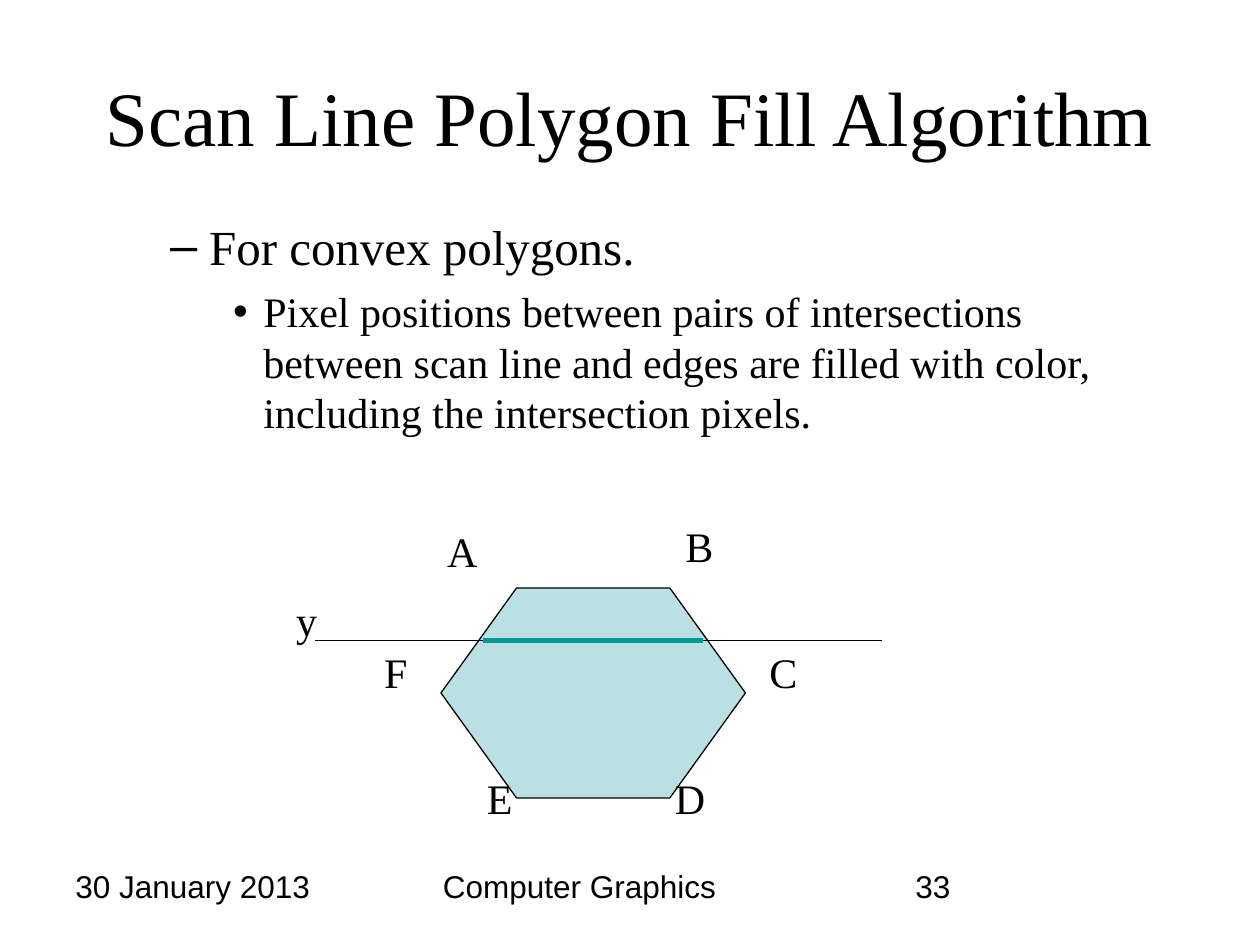
from lxml import etree
from pptx import Presentation
from pptx.dml.color import RGBColor
from pptx.enum.shapes import MSO_CONNECTOR, MSO_SHAPE
from pptx.enum.text import MSO_ANCHOR, MSO_AUTO_SIZE, PP_ALIGN
from pptx.oxml.ns import qn
from pptx.util import Inches, Pt

STRAIGHT, HEXAGON = MSO_CONNECTOR.STRAIGHT, MSO_SHAPE.HEXAGON
LEFT, CENTER, MIDDLE, TOP = PP_ALIGN.LEFT, PP_ALIGN.CENTER, MSO_ANCHOR.MIDDLE, MSO_ANCHOR.TOP
NO_FIT, GROW = MSO_AUTO_SIZE.NONE, MSO_AUTO_SIZE.SHAPE_TO_FIT_TEXT
COLORS = {"ink": "000000", "polygon": "BBE0E3", "filled": "009999"}
SERIF, SANS = "Times New Roman", "Arial"
COLUMNS, ROWS = 120, 90
VERTICES = {"A": (43.9, 49.5), "B": (66.6, 49), "C": (74.6, 61),
            "D": (65.6, 73), "E": (47.6, 73), "F": (37.7, 61)}
FOOTERS = [("30 January 2013", 6, 28), ("Computer Graphics", 41, 38), ("33", 86, 28)]
BULLETS = [("For convex polygons.", 1, "–", 28, 0.81, 0.31, 0),
           ("Pixel positions between pairs of intersections between scan line and edges "
            "are filled with color, including the intersection pixels.",
            2, "•", 24, 1.24, 0.24, 6)]


def grid(*cells):
    """Turn alternating column and row counts into lengths."""
    units = (Inches(10) / COLUMNS, Inches(7.5) / ROWS)
    return [round(count * units[index % 2]) for index, count in enumerate(cells)]


def color(name):
    """Look up a named colour."""
    return RGBColor.from_string(COLORS[name])


def style(para, size, face, align=LEFT):
    """Set the font and alignment of a paragraph."""
    para.alignment = align
    para.font.size, para.font.name = Pt(size), face
    para.font.color.rgb = color("ink")


def place(shape, *cells):
    """Move a shape to its grid cells."""
    shape.left, shape.top, shape.width, shape.height = grid(*cells)


def add_title(page, text):
    """Fill the title placeholder."""
    title = page.shapes.title
    place(title, 6, 4, 108, 14)
    frame = title.text_frame
    frame.text, frame.vertical_anchor, frame.auto_size = text, MIDDLE, NO_FIT
    style(frame.paragraphs[0], 44, SERIF, CENTER)


def add_bullets(page):
    """Fill the body placeholder with the bulleted list."""
    body = page.placeholders[1]
    place(body, 9, 20, 102, 58)
    frame = body.text_frame
    frame.vertical_anchor, frame.auto_size = TOP, NO_FIT
    frame.text = "\n".join(bullet[0] for bullet in BULLETS)
    for para, (_, level, mark, size, margin, hang, before) in zip(frame.paragraphs, BULLETS):
        para.level = level
        props = para._p.get_or_add_pPr()
        props.set("marL", str(Inches(margin)))
        props.set("indent", str(-Inches(hang)))
        etree.SubElement(props, qn("a:buChar")).set("char", mark)
        para.space_before = Pt(before)
        style(para, size, SERIF)


def add_text(page, text, left, top, width, height, size, face):
    """Add a wrapping text box."""
    box = page.shapes.add_textbox(*grid(left, top, width, height))
    box.text_frame.word_wrap = True
    box.text_frame.text = text
    style(box.text_frame.paragraphs[0], size, face)


def add_label(page, text, middle, top):
    """Add a one-letter label centred on a column."""
    box = page.shapes.add_textbox(*grid(middle - 2.5, top, 5, 6))
    frame = box.text_frame
    frame.text, frame.word_wrap, frame.auto_size = text, False, GROW
    style(frame.paragraphs[0], 24, SERIF, CENTER)


def add_line(page, start, end, row, name, weight):
    """Add a horizontal line without shadow."""
    line = page.shapes.add_connector(STRAIGHT, *grid(start, row, end, row))
    line.line.color.rgb, line.line.width = color(name), Pt(weight)
    etree.SubElement(line._element.spPr, qn("a:effectLst"))


def add_polygon(page):
    """Add the convex polygon."""
    polygon = page.shapes.add_shape(HEXAGON, *grid(42, 56, 29, 20))
    polygon.adjustments[0] = 0.36
    polygon.shadow.inherit = False
    polygon.fill.solid()
    polygon.fill.fore_color.rgb = color("polygon")
    polygon.line.color.rgb, polygon.line.width = color("ink"), Pt(0.75)


def main():
    """Build and save the slide."""
    deck = Presentation()
    deck.slide_width, deck.slide_height = Inches(10), Inches(7.5)
    page = deck.slides.add_slide(deck.slide_layouts[1])
    for text, left, width in FOOTERS:
        add_text(page, text, left, 82, width, 6, 18, SANS)
    add_title(page, "Scan Line Polygon Fill Algorithm")
    add_bullets(page)
    add_polygon(page)
    add_line(page, 30, 84, 61, "ink", 1)
    for letter, (middle, top) in VERTICES.items():
        add_label(page, letter, middle, top)
    add_label(page, "y", 29.2, 56)
    add_line(page, 46, 67, 61, "filled", 3)
    deck.save("out.pptx")


if __name__ == "__main__":
    main()
